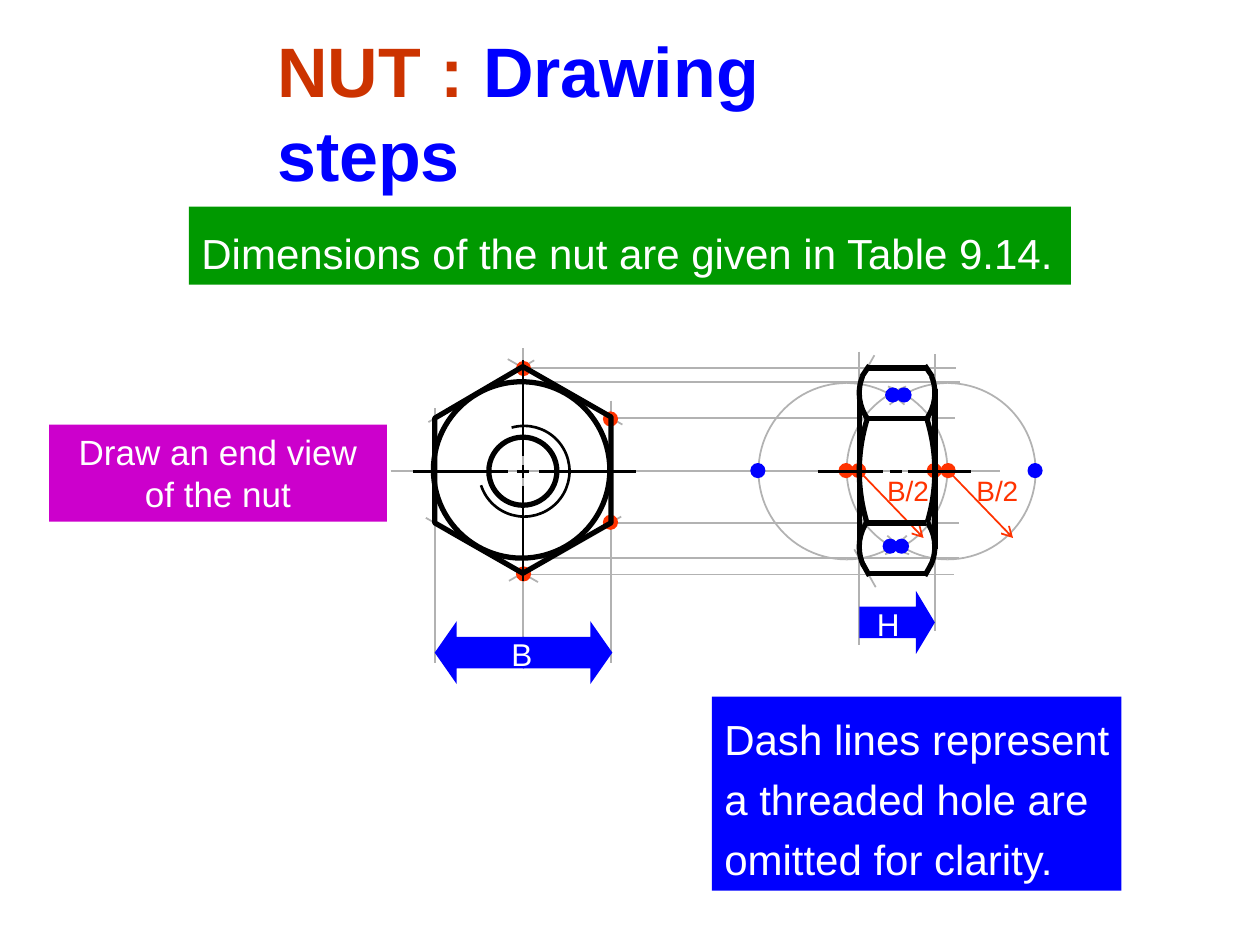
"""Build the slide showing the drawing steps of a hexagonal nut."""
from lxml.etree import SubElement
from pptx import Presentation
from pptx.dml.color import RGBColor
from pptx.enum.shapes import MSO_CONNECTOR, MSO_SHAPE
from pptx.enum.text import MSO_ANCHOR, MSO_AUTO_SIZE, PP_ALIGN
from pptx.oxml.ns import qn
from pptx.util import Pt

PX = 9144
RED, BLUE, GREY, BLACK, WHITE = "FF3300", "0000FF", "B2B2B2", "000000", "FFFFFF"
TITLE = [[("NUT : ", "CC3300"), ("Drawing steps", BLUE)]]
PANELS = [
    ((39, 337, 268, 77), "CC00CC", ["Draw an end view", "of the nut"],
     dict(size=20, align=PP_ALIGN.CENTER, wrap=True)),
    ((150, 164, 700, 62), "009900", ["Dimensions of the nut are given in Table 9.14."],
     dict(size=24, space=1.3)),
    ((565, 553, 325, 154), BLUE,
     ["Dash lines represent", "a threaded hole are", "omitted for clarity."],
     dict(size=24, space=1.2)),
]
LABELS = [
    ((396, 499, 36, 40), "B", WHITE, dict(size=18)),
    ((686, 475, 38, 40), "H", WHITE, dict(size=18, align=PP_ALIGN.CENTER)),
    ((704, 376, 33, 27), "B/2", RED, dict(size=16, inset=(0, 0))),
    ((775, 376, 33, 27), "B/2", RED, dict(size=16, inset=(0, 0))),
]
GUIDES = [
    (310, 374, 794, 374), (414, 303, 762, 303), (414, 443, 761, 443),
    (678, 436, 695, 466), (415, 529, 415, 276), (413, 456, 757, 456),
    (404, 461, 493, 410), (485, 318, 485, 526), (340, 335, 424, 286),
    (345, 324, 345, 526), (427, 462, 338, 411), (494, 337, 403, 285),
    (412, 292, 759, 292), (682, 279, 682, 512), (742, 281, 742, 501),
    (483, 332, 758, 332), (484, 415, 761, 415), (682, 303, 694, 282),
]
ARROWS = [
    (MSO_SHAPE.LEFT_ARROW, (345, 493, 71, 50), 0.35),
    (MSO_SHAPE.RIGHT_ARROW, (415, 493, 71, 50), 0.35),
    (MSO_SHAPE.RIGHT_ARROW, (682, 469, 60, 50), 0.3),
]
RADII = [(682, 374, 733, 427), (752, 373, 804, 427)]
DOTS = {
    RED: [(410, 287), (410, 450), (479, 327), (479, 409),
          (747, 368), (676, 368), (736, 368), (666, 368)],
    BLUE: [(816, 368), (712, 308), (710, 428), (596, 368), (703, 308), (701, 428)],
}
DOT = 11
MIRROR = 1424
THIN_ARCS = [((612, 303), 140, 289, 73)] + [
    ((682, 304), 140, start, end)
    for start, end in [(270, 0), (0, 90), (229, 270), (90, 133)]]
BOLD_ARCS = [((682, 277), 70, 145, 202), ((682, 234), 280, 163, 198),
             ((682, 399), 70, 154, 213)]
EDGES = [(684, 299, 690, 290), (685, 448, 690, 457), (682, 436, 682, 309)]
BARS = [(688, y, 735, y) for y in (292, 332, 415, 455)]
HEX = [(345, 415), (415, 455), (485, 415), (485, 331), (415, 291), (345, 332)]
AXES = [
    (328, 374, 403, 374), (428, 374, 505, 374), (410, 374, 420, 374),
    (415, 461, 415, 386), (415, 362, 415, 286), (415, 379, 415, 369),
    (649, 374, 701, 374), (721, 374, 771, 374), (706, 374, 716, 374),
]

deck = Presentation()
deck.slide_width, deck.slide_height = 1000 * PX, 750 * PX
slide = deck.slides.add_slide(deck.slide_layouts[5])
shapes = slide.shapes


def emu(vals):
    return [val * PX for val in vals]


def tint(hue):
    return RGBColor.from_string(hue)


def write(shape, paras, size, bold=False, align=PP_ALIGN.LEFT, space=1.0,
          wrap=False, inset=(10, 5)):
    frame = shape.text_frame
    frame.auto_size = MSO_AUTO_SIZE.NONE
    frame.word_wrap = wrap
    frame.vertical_anchor = MSO_ANCHOR.TOP
    frame.margin_left = frame.margin_right = inset[0] * PX
    frame.margin_top = frame.margin_bottom = inset[1] * PX
    for num, runs in enumerate(paras):
        para = frame.add_paragraph() if num else frame.paragraphs[0]
        para.alignment, para.line_spacing = align, space
        for words, hue in runs:
            run = para.add_run()
            run.text = words
            font = run.font
            font.name, font.size, font.bold = "Arial", Pt(size), bold
            font.color.rgb = tint(hue)


def style(shape, fill=None, hue=None, width=1):
    shape.shadow.inherit = False
    if fill:
        shape.fill.solid()
        shape.fill.fore_color.rgb = tint(fill)
    else:
        shape.fill.background()
    if hue:
        shape.line.color.rgb = tint(hue)
        shape.line.width = Pt(width)
    else:
        shape.line.fill.background()
    return shape


def draw(kind, box, **look):
    return style(shapes.add_shape(kind, *emu(box)), **look)


def rule(ends, hue=BLACK, width=1.5, head=False):
    line = shapes.add_connector(MSO_CONNECTOR.STRAIGHT, *emu(ends))
    line.line.color.rgb = tint(hue)
    line.line.width = Pt(width)
    props = line._element.spPr
    if head:
        SubElement(props.find(qn("a:ln")), qn("a:tailEnd"), type="arrow")
    SubElement(props, qn("a:effectLst"))


def arc(spot, size, start, end, hue=BLACK, width=1.5):
    shape = draw(MSO_SHAPE.ARC, (*spot, size, size), hue=hue, width=width)
    for num, angle in enumerate((start, end)):
        shape.adjustments[num] = angle % 360 * 0.6


def twin(spot, size, start, end, **look):
    arc(spot, size, start, end, **look)
    arc((MIRROR - spot[0] - size, spot[1]), size, 180 - end, 180 - start, **look)


title = shapes.title
title.left, title.top, title.width, title.height = emu((210, 17, 562, 77))
write(title, TITLE, size=40, bold=True)

for ends in GUIDES:
    rule(ends, hue=GREY, width=1)
draw(MSO_SHAPE.OVAL, (345, 303, 140, 140), hue=GREY)
for curve in THIN_ARCS:
    twin(*curve, hue=GREY, width=1)
for kind, box, tip in ARROWS:
    draw(kind, box, fill=BLUE).adjustments[1] = tip
for ends in RADII:
    rule(ends, hue=RED, width=1, head=True)
for hue, spots in DOTS.items():
    for spot in spots:
        draw(MSO_SHAPE.OVAL, (*spot, DOT, DOT), fill=hue, hue=hue, width=0.75)

for curve in BOLD_ARCS:
    twin(*curve, width=3)
for x1, y1, x2, y2 in EDGES:
    rule((x1, y1, x2, y2), width=3)
    rule((MIRROR - x1, y1, MIRROR - x2, y2), width=3)
for ends in BARS:
    rule(ends, width=3)
path = shapes.build_freeform(*HEX[0], scale=PX)
path.add_line_segments(HEX[1:], close=True)
style(path.convert_to_shape(), hue=BLACK, width=3)
for box in [(344, 303, 140, 140), (388, 347, 54, 54)]:
    draw(MSO_SHAPE.OVAL, box, hue=BLACK, width=3)
arc((380, 338), 72, 254, 162)
for ends in AXES:
    rule(ends)

for box, fill, lines, look in PANELS:
    write(draw(MSO_SHAPE.RECTANGLE, box, fill=fill),
          [[(line, WHITE)] for line in lines], **look)
for box, words, hue, look in LABELS:
    write(shapes.add_textbox(*emu(box)), [[(words, hue)]], **look)

deck.save("out.pptx")
